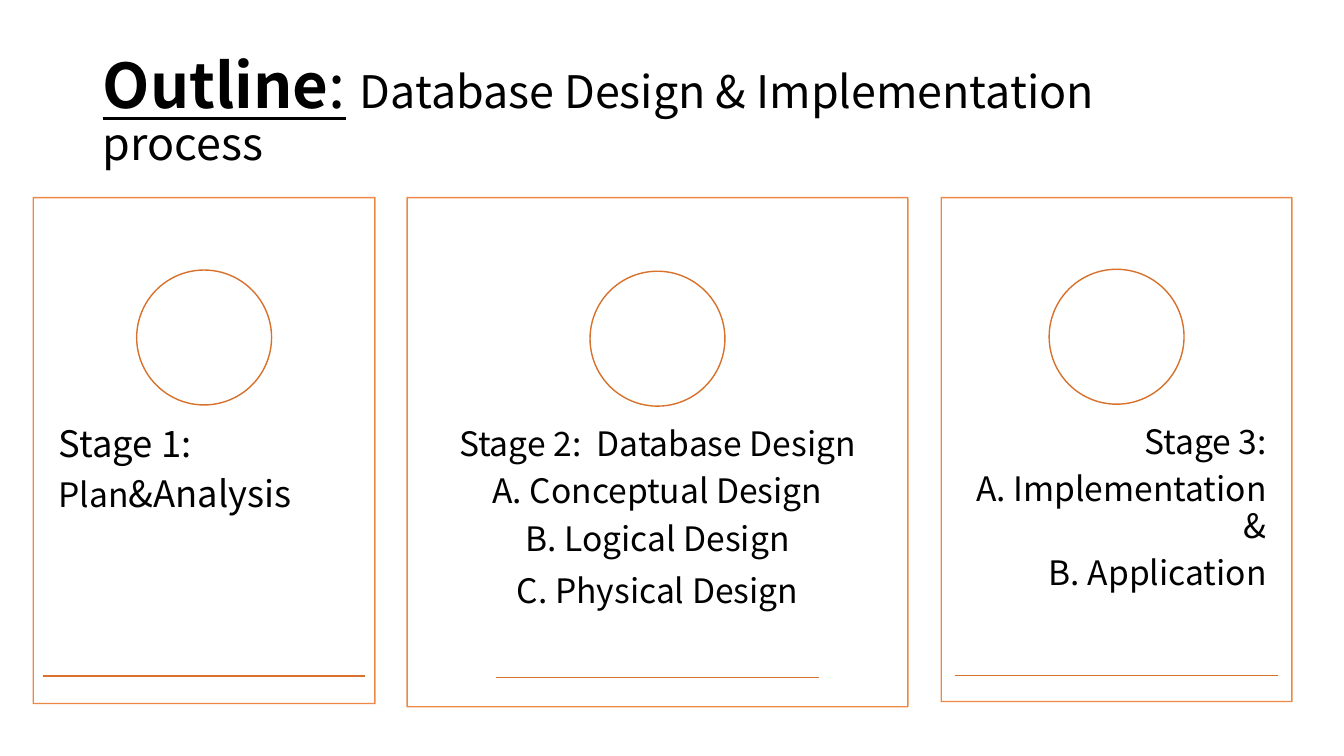
from lxml.etree import SubElement
from pptx import Presentation
from pptx.dml.color import RGBColor
from pptx.enum.shapes import MSO_CONNECTOR, MSO_SHAPE
from pptx.enum.text import MSO_ANCHOR, PP_ALIGN
from pptx.oxml.ns import qn
from pptx.util import Cm, Pt

FONT = "Noto Sans CJK SC"
PANEL_TOP = 4.98
CIRCLE_SIZE = 3.4
RULE_WIDTH = 8.13


def paint(color_format, color, opacity=100):
    color_format.rgb = RGBColor.from_string(color)
    if opacity < 100:
        for node in color_format._xFill.iter(qn("a:srgbClr")):
            SubElement(node, qn("a:alpha"), val=str(opacity * 1000))


def add_span(para, text, **font_format):
    span = para.add_run()
    span.text = text
    paint(span.font.color, "000000")
    for name, value in {"name": FONT, **font_format}.items():
        setattr(span.font, name, value)


deck = Presentation()
deck.slide_width, deck.slide_height = Cm(33.87), Cm(19.05)
page = deck.slides.add_slide(deck.slide_layouts[6])

# Title
title = page.shapes.add_textbox(Cm(2.34), Cm(1.01), Cm(29.21), Cm(3.68))
title.text_frame.word_wrap = True
title.text_frame.vertical_anchor = MSO_ANCHOR.MIDDLE
para = title.text_frame.paragraphs[0]
para.line_spacing = 0.9
add_span(para, "Outline", size=Pt(44), bold=True, underline=True)
add_span(para, ":", size=Pt(44), underline=True)
add_span(para, " ", size=Pt(44))
add_span(para, "Database Design & Implementation process", size=Pt(32))

# Stages: left, width, height, alignment, lines of (text, size) spans
stages = [
    (0.84, 8.61, 12.75, PP_ALIGN.LEFT,
     [[("Stage 1:", 26)], [("Plan", 24), ("&Analysis", 26)]]),
    (10.26, 12.62, 12.83, PP_ALIGN.CENTER,
     [[("Stage 2:  Database Design", 24)], [("A. Conceptual Design", 24)],
      [("B. Logical Design", 24)], [("C. Physical Design", 24)]]),
    (23.72, 8.84, 12.7, PP_ALIGN.RIGHT,
     [[("Stage 3:", 24)], [("A. Implementation &", 24)],
      [("B. Application", 24)]]),
]

for left, width, height, alignment, lines in stages:
    center = left + width / 2
    text_top = PANEL_TOP + 0.38 * height
    rule_y = text_top + 7.21

    panel = page.shapes.add_shape(
        MSO_SHAPE.RECTANGLE, Cm(left), Cm(PANEL_TOP), Cm(width), Cm(height))
    circle = page.shapes.add_shape(
        MSO_SHAPE.OVAL, Cm(center - CIRCLE_SIZE / 2), Cm(text_top - 3.02),
        Cm(CIRCLE_SIZE), Cm(CIRCLE_SIZE))
    for shape, color, opacity in ((panel, "ED7D31", 90), (circle, "D7712C", 100)):
        shape.shadow.inherit = False
        shape.fill.solid()
        paint(shape.fill.fore_color, "FFFFFF", opacity)
        paint(shape.line.color, color, opacity)
        shape.line.width = Pt(1)

    box = page.shapes.add_textbox(
        Cm(left), Cm(text_top), Cm(width), Cm(0.6 * height))
    frame_format = {"word_wrap": True, "margin_left": Cm(0.64),
                    "margin_right": Cm(0.64), "margin_top": Cm(0.91),
                    "margin_bottom": Cm(0.91)}
    for name, value in frame_format.items():
        setattr(box.text_frame, name, value)
    for index, line in enumerate(lines):
        para = box.text_frame.paragraphs[0] if index == 0 else box.text_frame.add_paragraph()
        last_design = line[0][0].startswith("C.")
        para_format = {"alignment": alignment, "space_after": Pt(8),
                       "line_spacing": 1.0 if last_design else 0.9}
        for name, value in para_format.items():
            setattr(para, name, value)
        for text, size in line:
            add_span(para, text, size=Pt(size))

    rule = page.shapes.add_connector(
        MSO_CONNECTOR.STRAIGHT, Cm(center - RULE_WIDTH / 2), Cm(rule_y),
        Cm(center + RULE_WIDTH / 2), Cm(rule_y))
    paint(rule.line.color, "D7712C")
    rule.line.width = Pt(1)
    SubElement(rule._element.spPr, qn("a:effectLst"))

deck.save("out.pptx")
